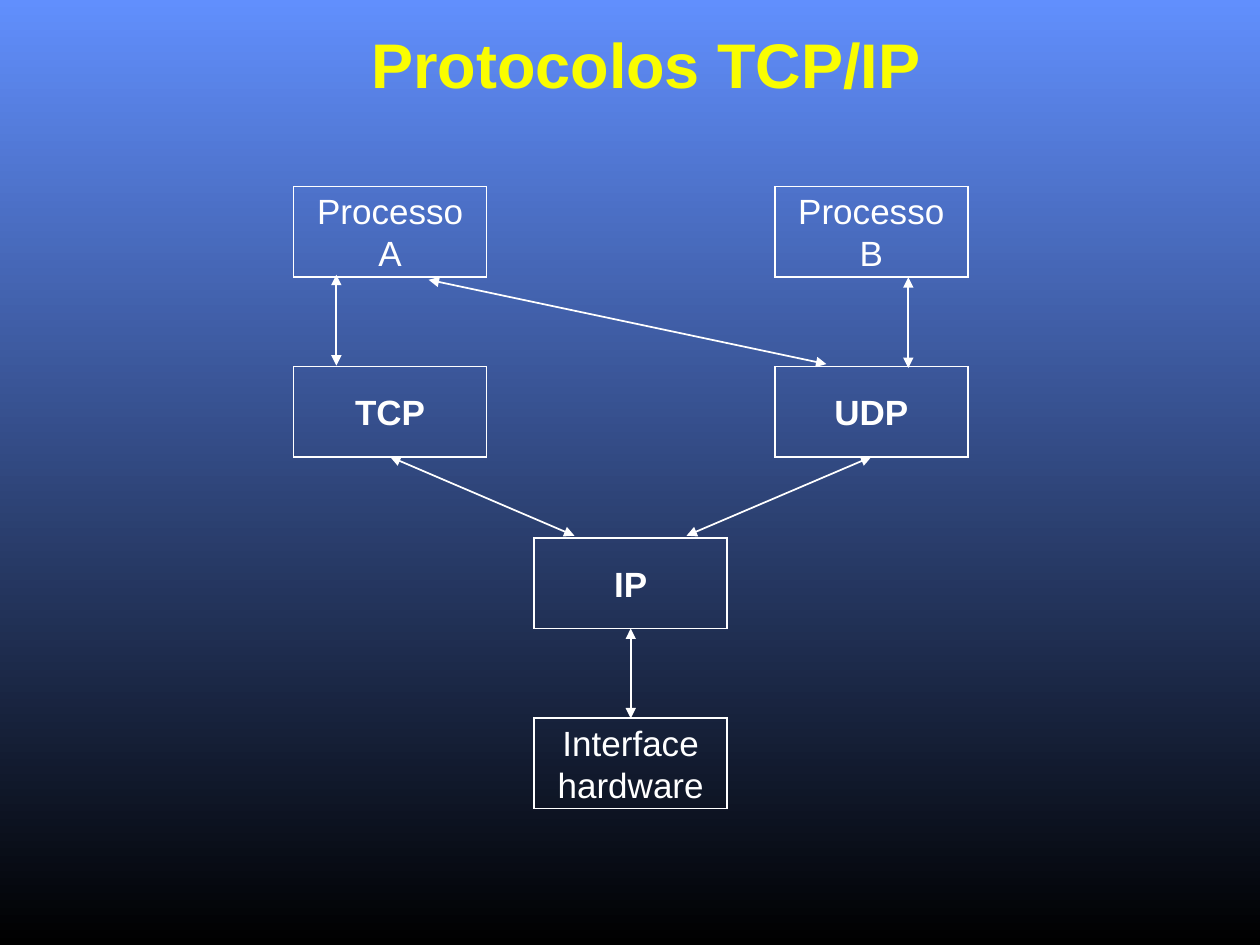
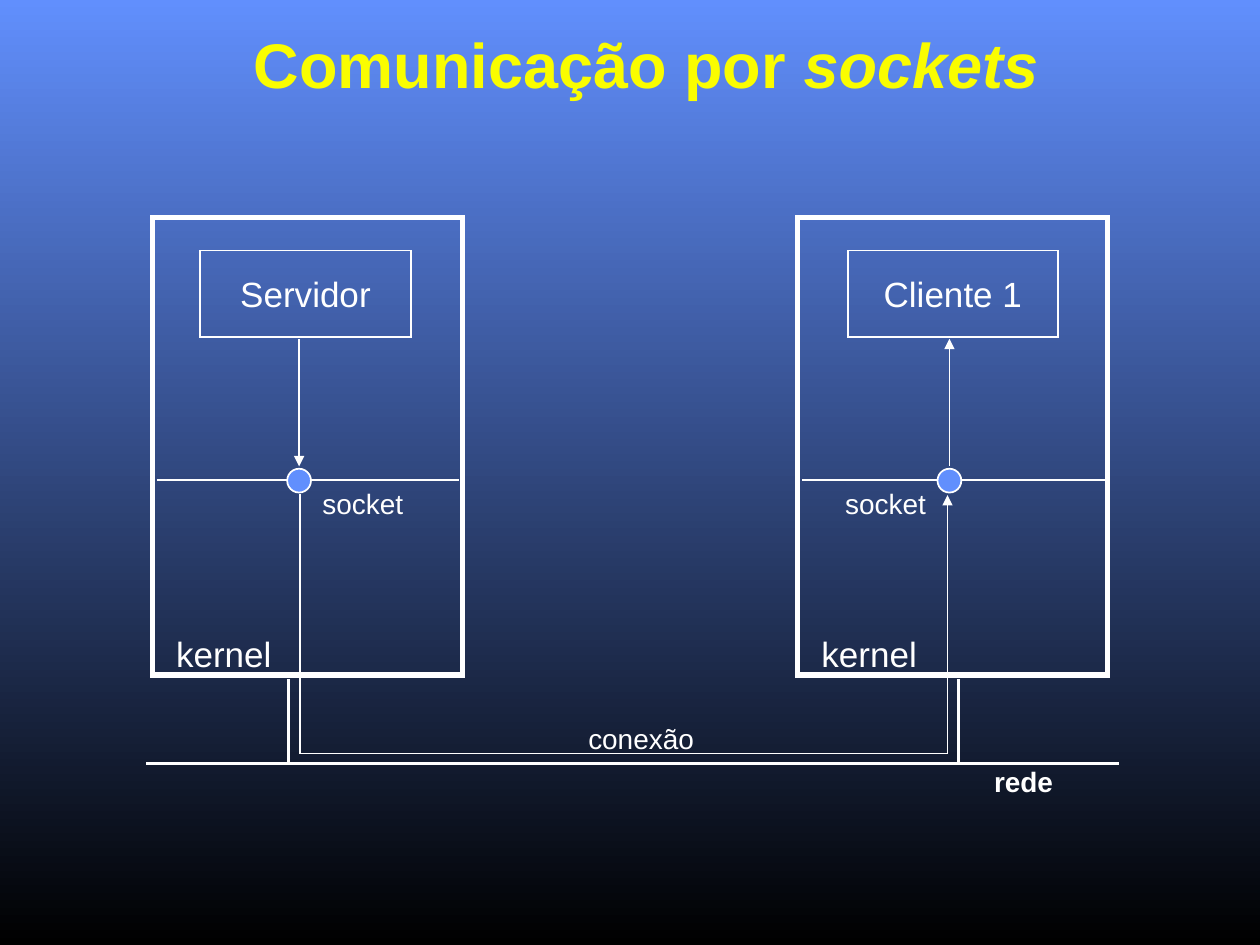
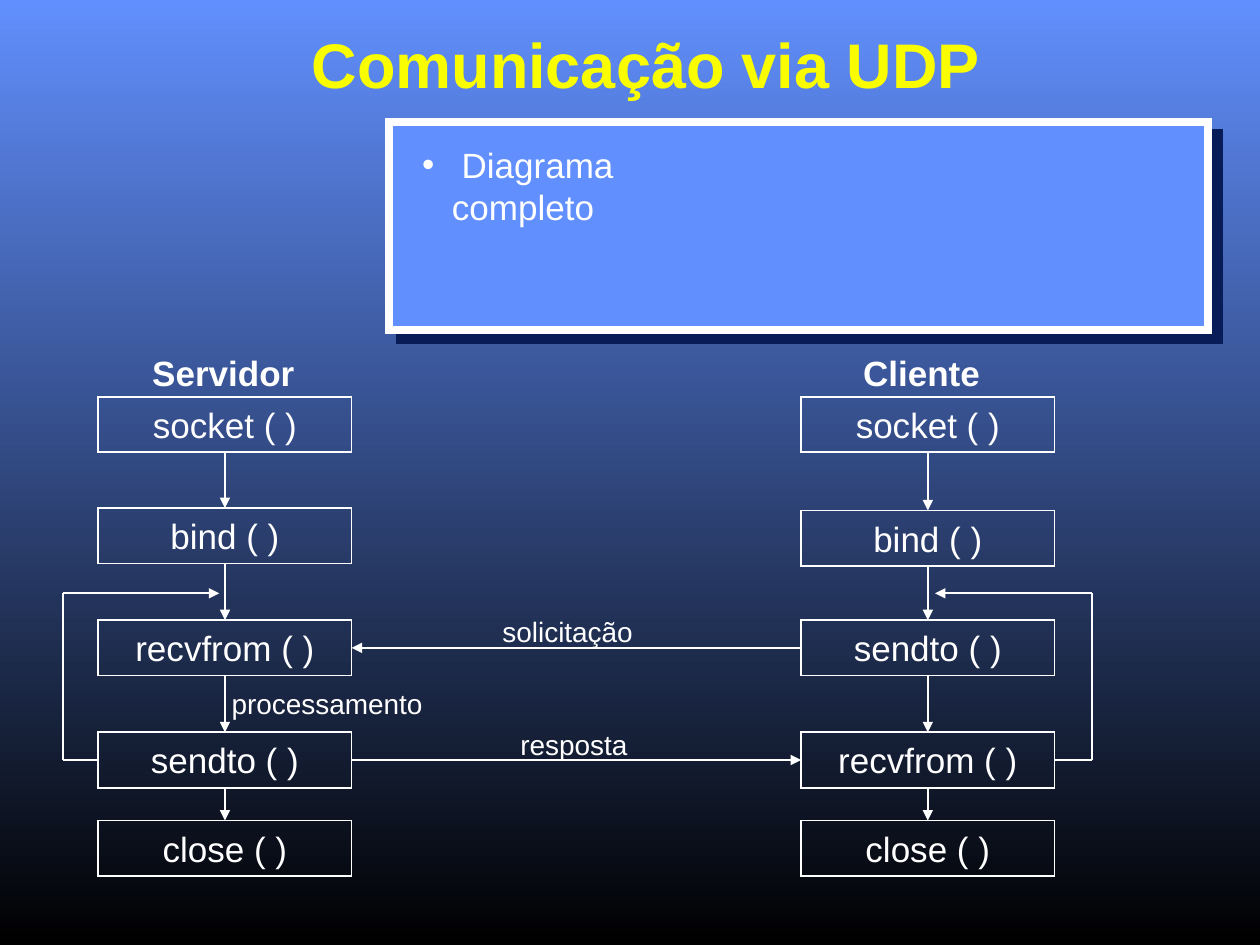
from dataclasses import dataclass
from typing import NamedTuple

from lxml.etree import SubElement
from pptx import Presentation
from pptx.dml.color import RGBColor
from pptx.enum.shapes import MSO_CONNECTOR, MSO_SHAPE
from pptx.enum.text import MSO_ANCHOR, MSO_AUTO_SIZE, PP_ALIGN
from pptx.oxml.ns import qn
from pptx.shapes.autoshape import Shape
from pptx.slide import Slide
from pptx.util import Cm, Pt

BLUE = RGBColor(0x61, 0x8F, 0xFD)
NAVY = RGBColor(0x08, 0x1D, 0x58)
BLACK = RGBColor(0x00, 0x00, 0x00)
WHITE = RGBColor(0xFF, 0xFF, 0xFF)
YELLOW = RGBColor(0xFA, 0xFD, 0x00)
FONT = "Arial"
TOP, LEFT, BOTTOM, RIGHT = range(4)


# Elements, with lengths in centimetres
@dataclass
class Box:
    x: float
    y: float
    w: float
    h: float
    text: str = ""
    bold: bool = False
    border: float = 1
    fill: RGBColor | None = None
    kind: MSO_SHAPE = MSO_SHAPE.RECTANGLE


@dataclass
class Label:
    x: float
    y: float
    w: float
    text: str
    size: int = 16
    bold: bool = False


class Point(NamedTuple):
    x: float
    y: float


class Joint(NamedTuple):
    shape: Shape
    side: int


@dataclass
class Line:
    start: Point | Joint
    end: Point | Joint
    head: bool = False
    tail: bool = False
    width: float = 1


# Drawing functions
def add_run(p, text: str, size: int, bold=False, italic=False, color=WHITE) -> None:
    r = p.add_run()
    r.text = text
    font = r.font
    font.name, font.size, font.bold, font.italic = FONT, Pt(size), bold, italic
    font.color.rgb = color


def add_box(s: Slide, box: Box) -> Shape:
    sp = s.shapes.add_shape(box.kind, Cm(box.x), Cm(box.y), Cm(box.w), Cm(box.h))
    sp.shadow.inherit = False
    if box.fill is None:
        sp.fill.background()
    else:
        sp.fill.solid()
        sp.fill.fore_color.rgb = box.fill
    sp.line.color.rgb = WHITE
    sp.line.width = Pt(box.border)
    SubElement(sp.line._get_or_add_ln(), qn("a:miter"), lim="800000")
    if box.text:
        tf = sp.text_frame
        tf.word_wrap = False
        tf.vertical_anchor = MSO_ANCHOR.MIDDLE
        for i, line in enumerate(box.text.split("\n")):
            p = tf.add_paragraph() if i else tf.paragraphs[0]
            p.alignment = PP_ALIGN.CENTER
            add_run(p, line, 20, box.bold)
    return sp


def add_label(s: Slide, label: Label) -> Shape:
    height = 1.09 if label.size == 20 else 0.91
    slack = 0.3  # keeps a single word from breaking
    sp = s.shapes.add_textbox(
        Cm(label.x), Cm(label.y), Cm(label.w + slack), Cm(height))
    tf = sp.text_frame
    tf.word_wrap = True
    tf.auto_size = MSO_AUTO_SIZE.SHAPE_TO_FIT_TEXT
    add_run(tf.paragraphs[0], label.text, label.size, label.bold)
    return sp


def add_line(s: Slide, line: Line) -> None:
    ends = [Point(0, 0) if isinstance(e, Joint) else e for e in (line.start, line.end)]
    cxn = s.shapes.add_connector(
        MSO_CONNECTOR.STRAIGHT, *(Cm(v) for end in ends for v in end))
    if isinstance(line.start, Joint):
        cxn.begin_connect(*line.start)
    if isinstance(line.end, Joint):
        cxn.end_connect(*line.end)
    cxn.line.color.rgb = WHITE
    cxn.line.width = Pt(line.width)
    ln = cxn.line._get_or_add_ln()
    for tag, shown in (("a:headEnd", line.head), ("a:tailEnd", line.tail)):
        if shown:
            SubElement(ln, qn(tag), type="triangle")
    SubElement(cxn._element.spPr, qn("a:effectLst"))


def add_shadow(sp: Shape) -> None:
    effects = sp._element.spPr.find(qn("a:effectLst"))
    shadow = SubElement(effects, qn("a:outerShdw"), dist=str(Pt(8.5)),
                        dir="2700000", algn="ctr", rotWithShape="0")
    SubElement(shadow, qn("a:srgbClr"), val=str(NAVY))


def add_bullet(p) -> None:
    pPr = p._p.get_or_add_pPr()
    pPr.set("marL", str(Cm(0.6)))
    pPr.set("indent", str(-Cm(0.6)))
    SubElement(SubElement(pPr, qn("a:buClr")), qn("a:srgbClr"), val=str(WHITE))
    SubElement(pPr, qn("a:buFont"), typeface=FONT)
    SubElement(pPr, qn("a:buChar"), char="•")


def add_slide(prs, title: str, italic_end: str = "") -> Slide:
    s = prs.slides.add_slide(prs.slide_layouts[6])
    tf = s.shapes.add_textbox(Cm(3.18), Cm(0.56), Cm(19.69), Cm(1.63)).text_frame
    tf.word_wrap = True
    tf.vertical_anchor = MSO_ANCHOR.MIDDLE
    p = tf.paragraphs[0]
    p.alignment = PP_ALIGN.CENTER
    p.line_spacing = 0.9
    add_run(p, title, 36, bold=True, color=YELLOW)
    if italic_end:
        add_run(p, italic_end, 36, bold=True, italic=True, color=YELLOW)
    return s


def set_background(prs) -> None:
    fill = prs.slide_master.background.fill
    fill.gradient()
    fill.gradient_angle = 270
    for stop, color in zip(fill.gradient_stops, (BLUE, BLACK)):
        stop.color.rgb = color


# Slide 1: protocol stack
def protocol_slide(prs) -> None:
    s = add_slide(prs, "Protocolos TCP/IP")
    left, middle, right = 5.92, 10.77, 15.62
    rows = 3.76, 7.39, 10.85, 14.48

    def layer(x: float, row: int, text: str, bold: bool = False) -> Shape:
        return add_box(s, Box(x, rows[row], 3.89, 1.82, text, bold))

    layer(left, 0, "Processo\nA")
    layer(right, 0, "Processo\nB")
    tcp = layer(left, 1, "TCP", True)
    udp = layer(right, 1, "UDP", True)
    ip = layer(middle, 2, "IP", True)
    hardware = layer(middle, 3, "Interface\nhardware")

    for start, end in (
        (Point(6.78, 5.54), Point(6.78, 7.37)),
        (Point(18.31, 5.59), Point(18.31, 7.42)),
        (Joint(ip, BOTTOM), Joint(hardware, TOP)),
        (Joint(tcp, BOTTOM), Point(11.58, 10.8)),
        (Joint(udp, BOTTOM), Point(13.84, 10.8)),
        (Point(8.64, 5.64), Point(16.66, 7.34)),
    ):
        add_line(s, Line(start, end, head=True, tail=True))


# Slide 2: two machines joined by sockets
class Machine(NamedTuple):
    x: float
    process: str
    process_x: float
    socket_x: float
    socket_label_x: float
    drop_x: float
    receives: bool


MACHINES = (
    Machine(3.07, "Servidor", 4.04, 6.03, 6.25, 5.82, False),
    Machine(16.08, "Cliente 1", 17.09, 19.14, 16.79, 19.32, True),
)


def socket_slide(prs) -> None:
    s = add_slide(prs, "Comunicação por ", "sockets")
    floor = 15.19
    for m in MACHINES:
        add_box(s, Box(m.x, 4.39, 6.25, 9.22, border=3))
        add_box(s, Box(m.process_x, 5.05, 4.24, 1.75, m.process))
        add_line(s, Line(Point(m.drop_x, 13.69), Point(m.drop_x, 15.37), width=2))
        add_line(s, Line(Point(m.x + 0.09, 9.68), Point(m.x + 6.19, 9.68)))
        add_box(s, Box(m.socket_x - 0.24, 9.45, 0.48, 0.48,
                       fill=BLUE, kind=MSO_SHAPE.OVAL))
        add_label(s, Label(m.x + 0.23, 12.62, 2.44, "kernel", 20))
        add_label(s, Label(m.socket_label_x, 9.68, 2.13, "socket"))
        add_line(s, Line(Point(m.socket_x, 6.83), Point(m.socket_x, 9.4),
                         head=m.receives, tail=not m.receives))

    # Connection path and network
    out_x, in_x = 6.05, 19.1
    add_line(s, Line(Point(out_x, 9.96), Point(out_x, floor)))
    add_line(s, Line(Point(out_x, floor), Point(in_x, floor)))
    add_line(s, Line(Point(in_x, floor), Point(in_x, 9.98), tail=True))
    add_line(s, Line(Point(2.95, 15.39), Point(22.56, 15.39), width=2))
    add_label(s, Label(11.61, 14.43, 2.64, "conexão"))
    add_label(s, Label(19.79, 15.29, 1.7, "rede", bold=True))


# Slide 3: call sequence on each side
class Side(NamedTuple):
    x: float
    heading: Label
    calls: dict[str, float]
    loop_side: int
    loop_x: float
    loop_end: float


SERVER = Side(
    1.98, Label(2.82, 6.96, 3.38, "Servidor", 20, True),
    {"socket": 8, "bind": 10.24, "recvfrom": 12.5, "sendto": 14.76, "close": 16.54},
    LEFT, 1.27, 4.42)
CLIENT = Side(
    16.15, Label(17.15, 6.96, 2.87, "Cliente", 20, True),
    {"socket": 8, "bind": 10.29, "sendto": 12.5, "recvfrom": 14.76, "close": 16.54},
    RIGHT, 22.02, 18.85)


def add_side(s: Slide, side: Side) -> list[Shape]:
    add_label(s, side.heading)
    height, loop_top = 1.12, 11.96
    steps = [add_box(s, Box(side.x, y, 5.11, height, f"{name} ( )"))
             for name, y in side.calls.items()]
    for upper, lower in zip(steps, steps[1:]):
        add_line(s, Line(Joint(upper, BOTTOM), Joint(lower, TOP), tail=True))

    # Loop from the fourth call back to the third
    low = Point(side.loop_x, list(side.calls.values())[3] + height / 2)
    high = Point(side.loop_x, loop_top)
    add_line(s, Line(Joint(steps[3], side.loop_side), low))
    add_line(s, Line(low, high))
    add_line(s, Line(high, Point(side.loop_end, loop_top), tail=True))
    return steps


def udp_slide(prs) -> None:
    s = add_slide(prs, "Comunicação via UDP")
    server, client = add_side(s, SERVER), add_side(s, CLIENT)
    add_line(s, Line(Joint(client[2], LEFT), Joint(server[2], RIGHT), tail=True))
    add_line(s, Line(Joint(server[3], RIGHT), Joint(client[3], LEFT), tail=True))
    for label in (
        Label(9.88, 12.27, 3.12, "solicitação"),
        Label(10.24, 14.54, 2.67, "resposta"),
        Label(4.42, 13.72, 4.34, "processamento"),
    ):
        add_label(s, label)

    # Panel with the topic
    add_shadow(add_box(s, Box(7.85, 2.46, 16.51, 4.19, border=4.5, fill=BLUE)))
    topic = add_label(s, Label(8.26, 2.77, 6.79, " Diagrama completo", 20))
    add_bullet(topic.text_frame.paragraphs[0])


def main() -> None:
    prs = Presentation()
    prs.slide_width, prs.slide_height = Cm(25.4), Cm(19.05)
    set_background(prs)
    protocol_slide(prs)
    socket_slide(prs)
    udp_slide(prs)
    prs.save("out.pptx")


if __name__ == "__main__":
    main()
